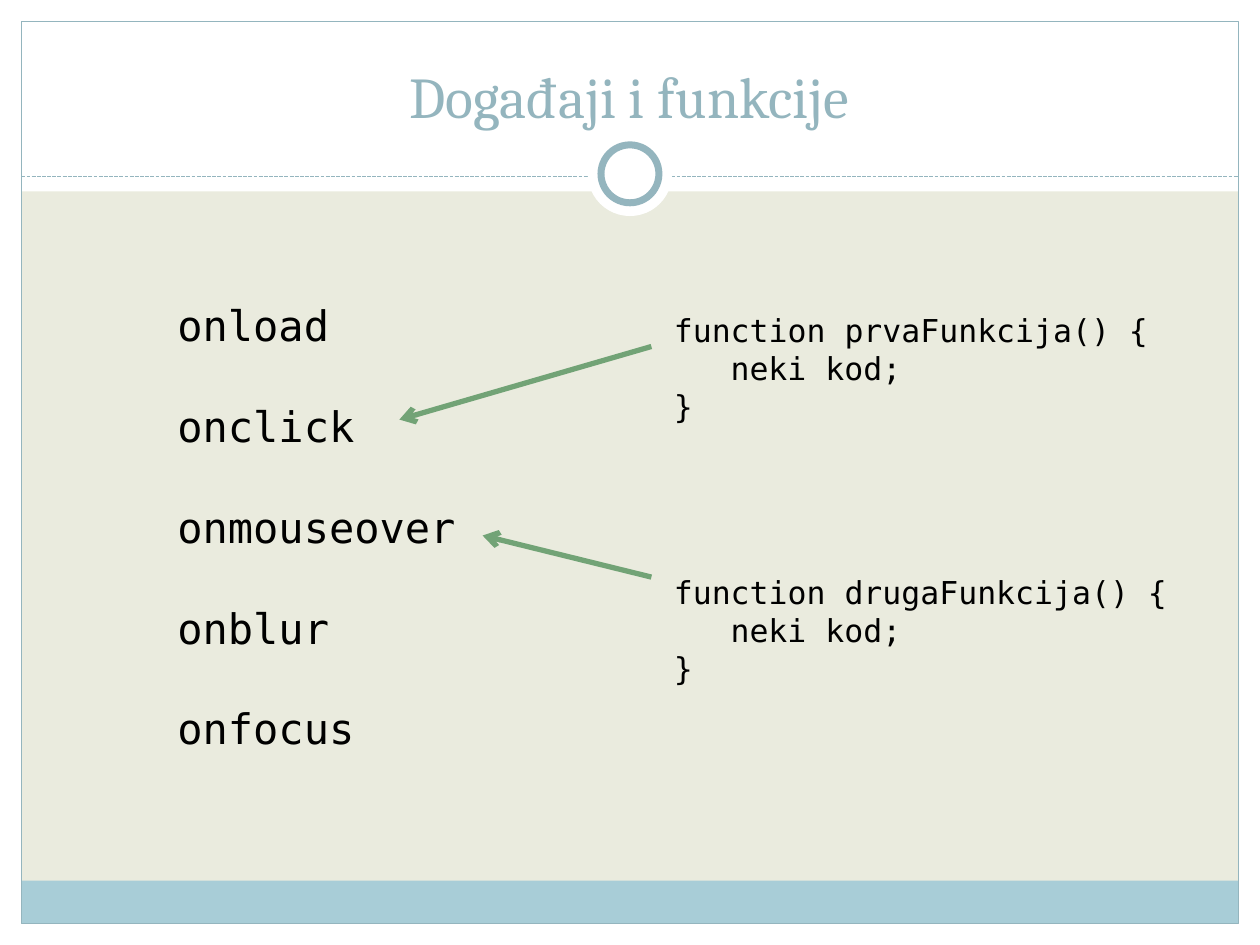
from lxml import etree
from pptx import Presentation
from pptx.dml.color import RGBColor
from pptx.enum.dml import MSO_LINE
from pptx.enum.shapes import MSO_CONNECTOR, MSO_SHAPE
from pptx.enum.text import MSO_ANCHOR, PP_ALIGN
from pptx.oxml.ns import qn
from pptx.util import Inches, Pt

RECTANGLE, OVAL = MSO_SHAPE.RECTANGLE, MSO_SHAPE.OVAL
STRAIGHT = MSO_CONNECTOR.STRAIGHT
DASH = MSO_LINE.SQUARE_DOT
TOP, BOTTOM = MSO_ANCHOR.TOP, MSO_ANCHOR.BOTTOM
LEFT, CENTER = PP_ALIGN.LEFT, PP_ALIGN.CENTER

WIDTH, HEIGHT = 10, 7.5
MARGIN = 0.17
EVENTS = ["onload", "onclick", "onmouseover", "onblur", "onfocus"]
FUNCTIONS = [("prvaFunkcija", 2.42), ("drugaFunkcija", 4.5)]
ARROWS = [((5.17, 2.75), (3.17, 3.33)), ((5.17, 4.58), (3.83, 4.25))]


def color(hex_value):
    return RGBColor.from_string(hex_value)


class SlideBuilder:
    PAPER, WHITE, BLACK = "EAEBDE", "FFFFFF", "000000"
    ACCENT, BAND, ARROW = "94B5BE", "A8CDD7", "72A376"
    TITLE_FONT, CODE_FONT = "Cambria", "DejaVu Sans Mono"
    LINE_FACTOR = 1.2

    def __init__(self, slide):
        self.slide = slide
        background = slide.background.fill
        background.solid()
        background.fore_color.rgb = color(self.PAPER)

    def shape(self, kind, left, top, width, height, fill=None, line_width=None):
        shape = self.slide.shapes.add_shape(
            kind, Inches(left), Inches(top), Inches(width), Inches(height))
        shape.shadow.inherit = False
        if fill:
            shape.fill.solid()
            shape.fill.fore_color.rgb = color(fill)
        else:
            shape.fill.background()
        if line_width:
            shape.line.color.rgb = color(self.ACCENT)
            shape.line.width = Pt(line_width)
        else:
            shape.line.fill.background()

    def line(self, start, end, line_color, width, dash=None, arrow=False):
        connector = self.slide.shapes.add_connector(
            STRAIGHT, *(Inches(value) for value in (*start, *end)))
        connector.line.color.rgb = color(line_color)
        connector.line.width = Pt(width)
        if dash:
            connector.line.dash_style = dash
        if arrow:
            outline = connector.line._get_or_add_ln()
            etree.SubElement(outline, qn("a:tailEnd"), type="arrow")
        etree.SubElement(connector._element.spPr, qn("a:effectLst"))

    def text(self, lines, left, top, width, height, size, font, font_color,
             anchor=TOP, align=LEFT):
        box = self.slide.shapes.add_textbox(
            Inches(left), Inches(top), Inches(width), Inches(height))
        frame = box.text_frame
        frame.word_wrap = True
        frame.vertical_anchor = anchor
        frame.text = "\n".join(lines)
        for paragraph in frame.paragraphs:
            paragraph.alignment = align
            run_font = paragraph.runs[0].font
            run_font.name, run_font.size = font, Pt(size)
            run_font.color.rgb = color(font_color)
        return frame.paragraphs

    def code(self, lines, left, top, width, height, size):
        paragraphs = self.text(lines, left, top, width, height, size,
                               self.CODE_FONT, self.BLACK)
        for paragraph in paragraphs:
            paragraph.line_spacing = Pt(size * self.LINE_FACTOR)
        return paragraphs

    def events(self, names):
        """List the names with one line's height between them."""
        size = 24
        for paragraph in self.code(names, 1.31, 2.33, 2.44, 4.04, size)[:-1]:
            paragraph.space_after = Pt(size * self.LINE_FACTOR)

    def function(self, name, top):
        lines = [f"function {name}() {{", "neki kod;", "}"]
        body = self.code(lines, 5.25, top, 4.17, 1.01, 18)[1]
        properties = body._p.get_or_add_pPr()
        properties.set("marL", str(Inches(0.45)))
        properties.set("indent", "0")

    def circle(self, diameter, center_y, line_width=None):
        self.shape(OVAL, (WIDTH - diameter) / 2, center_y - diameter / 2,
                   diameter, diameter, self.WHITE, line_width)

    def frame(self):
        inner_width, inner_height = WIDTH - 2 * MARGIN, HEIGHT - 2 * MARGIN
        for area in [(0, HEIGHT - MARGIN, WIDTH, MARGIN), (0, 0, WIDTH, 1.52),
                     (0, 0, MARGIN, HEIGHT),
                     (WIDTH - MARGIN, 0, MARGIN, HEIGHT)]:
            self.shape(RECTANGLE, *area, self.WHITE)
        self.shape(RECTANGLE, MARGIN, 6.99, inner_width, 0.34, self.BAND)
        self.shape(RECTANGLE, MARGIN, MARGIN, inner_width, inner_height,
                   line_width=0.75)
        self.line((MARGIN, 1.4), (WIDTH - MARGIN, 1.4), self.ACCENT, 0.75, DASH)
        self.circle(0.67, 1.38)
        self.circle(0.46, 1.38, line_width=4)


def main():
    presentation = Presentation()
    presentation.slide_width = Inches(WIDTH)
    presentation.slide_height = Inches(HEIGHT)
    builder = SlideBuilder(
        presentation.slides.add_slide(presentation.slide_layouts[6]))

    builder.frame()
    builder.text(["Događaji i funkcije"], 0.33, 0.25, 9.33, 0.83, 33,
                 builder.TITLE_FONT, builder.ACCENT, BOTTOM, CENTER)
    builder.events(EVENTS)
    for name, top in FUNCTIONS:
        builder.function(name, top)
    for start, end in ARROWS:
        builder.line(start, end, builder.ARROW, 3, arrow=True)
    presentation.save("out.pptx")


if __name__ == "__main__":
    main()
